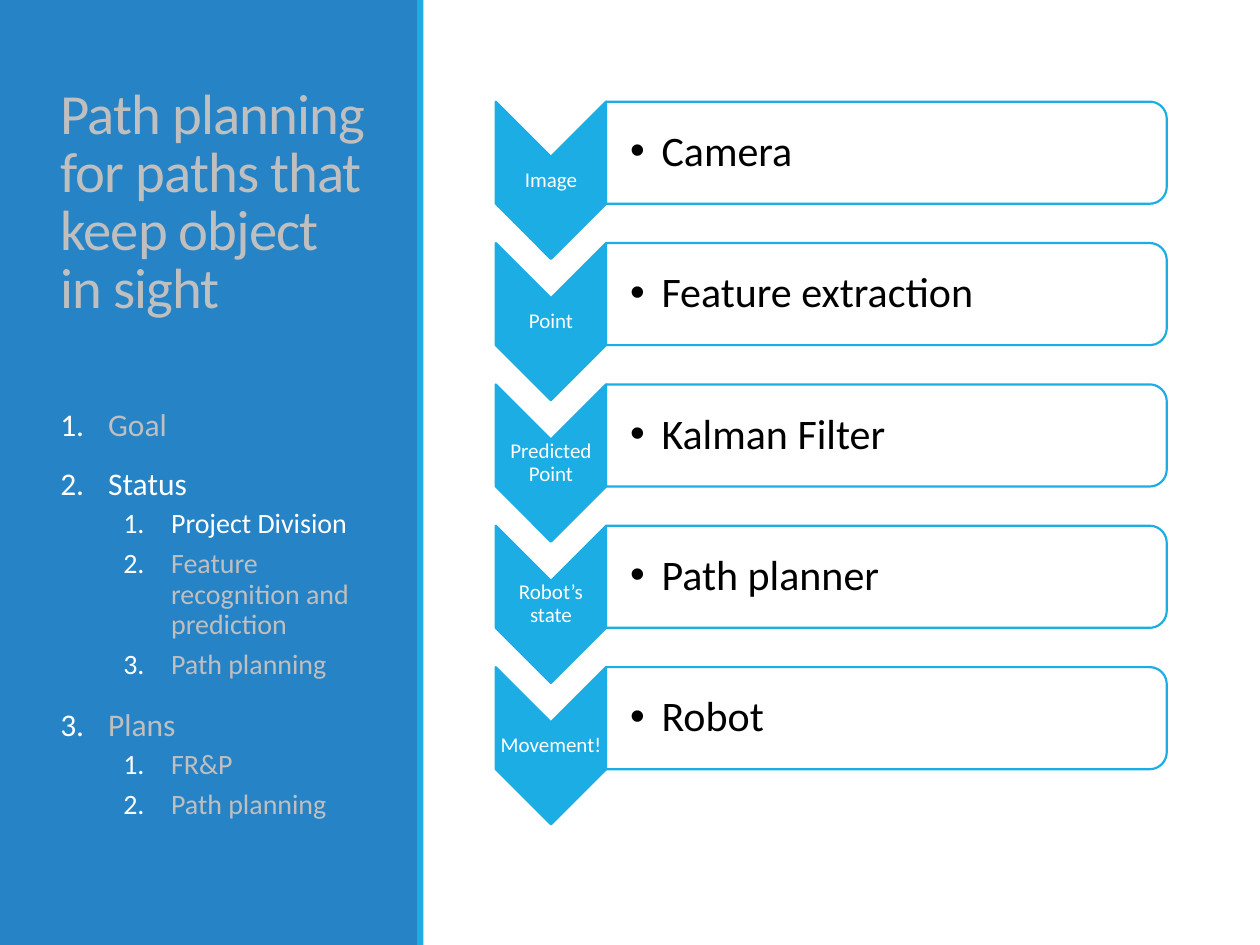
import math

from lxml import etree
from pptx import Presentation
from pptx import util as u
from pptx.dml.color import RGBColor
from pptx.enum import shapes, text
from pptx.oxml.ns import qn

BLUE = RGBColor(0x26, 0x83, 0xC6)
CYAN = RGBColor(0x1C, 0xAD, 0xE4)
WHITE = RGBColor(0xFF, 0xFF, 0xFF)
GREY = RGBColor(0xBF, 0xBF, 0xBF)
BLACK = RGBColor(0, 0, 0)
FONT = "Calibri"
COLUMNS, ROWS = 100, 75

TITLE = "Path planning for paths that keep object in sight"
AGENDA = [
    (0, "Goal", GREY),
    (0, "Status", WHITE),
    (1, "Project Division", WHITE),
    (1, "Feature recognition and prediction", GREY),
    (1, "Path planning", GREY),
    (0, "Plans", GREY),
    (1, "FR&P", GREY),
    (1, "Path planning", GREY),
]
STEPS = [
    ("Image", "Camera"),
    ("Point", "Feature extraction"),
    ("Predicted Point", "Kalman Filter"),
    ("Robot’s state", "Path planner"),
    ("Movement!", "Robot"),
]
FIRST_ROW, PITCH = 8.07, 11.22
CHEVRON_LEFT, CHEVRON_WIDTH = 39.35, 8.75
BAR_WIDTH, BAR_HEIGHT, BAR_RADIUS = 44.5, 8.1, 1.35


class SlideWriter:
    def __init__(self, deck):
        self.slide = deck.slides.add_slide(deck.slide_layouts[5])
        self.column = deck.slide_width / COLUMNS
        self.row = deck.slide_height / ROWS

    def place(self, x, y):
        return round(x * self.column), round(y * self.row)

    def run(self, paragraph, words, size, color):
        run = paragraph.add_run()
        run.text = words
        run.font.size = u.Pt(size)
        run.font.name = FONT
        run.font.color.rgb = color
        return run

    def frame(self, holder, anchor, insets=(0.1, 0.05, 0.1, 0.05)):
        frame = holder.text_frame
        frame.word_wrap = True
        frame.auto_size = text.MSO_AUTO_SIZE.NONE
        frame.vertical_anchor = anchor
        (frame.margin_left, frame.margin_top,
         frame.margin_right, frame.margin_bottom) = map(u.Inches, insets)
        return frame

    def marker(self, paragraph, indent, tag, color=None, **attributes):
        properties = paragraph._p.get_or_add_pPr()
        properties.set("marL", str(u.Inches(indent)))
        properties.set("indent", str(-u.Inches(0.25 if tag == "buChar" else 0.38)))
        if color is not None:
            tint = etree.SubElement(properties, qn("a:buClr"))
            etree.SubElement(tint, qn("a:srgbClr"), val=str(color))
        etree.SubElement(properties, qn("a:buFont"), typeface="Arial" if tag == "buChar" else FONT)
        etree.SubElement(properties, qn("a:" + tag), **attributes)

    def band(self, x, width, color):
        left, top = self.place(x, 0)
        band = self.slide.shapes.add_shape(
            shapes.MSO_SHAPE.RECTANGLE, left, top, *self.place(width, ROWS))
        band.shadow.inherit = False
        band.fill.solid()
        band.fill.fore_color.rgb = color
        band.line.fill.background()

    def title(self, words, x, y, width, height):
        title = self.slide.shapes.title
        title.left, title.top = self.place(x, y)
        title.width, title.height = self.place(width, height)
        title._element.getparent().append(title._element)
        paragraph = self.frame(title, text.MSO_ANCHOR.TOP).paragraphs[0]
        paragraph.alignment = text.PP_ALIGN.LEFT
        paragraph.line_spacing = 0.85
        run = self.run(paragraph, words, 32.4, GREY)
        run.font._element.set("spc", "-50")

    def agenda(self, entries, x, y, width, height):
        box = self.slide.shapes.add_textbox(*self.place(x, y), *self.place(width, height))
        frame = self.frame(box, text.MSO_ANCHOR.TOP)
        for index, (level, words, color) in enumerate(entries):
            paragraph = frame.add_paragraph() if index else frame.paragraphs[0]
            paragraph.level = level
            paragraph.line_spacing = 0.9
            paragraph.space_before = u.Pt((2 if level else 12) if index else 0)
            paragraph.space_after = u.Pt(4 if level else 2)
            self.marker(paragraph, 0.88 if level else 0.38, "buAutoNum", WHITE,
                        type="arabicPeriod")
            self.run(paragraph, words, 16 if level else 18, color)

    def outline(self, points, fill):
        start, *rest = [self.place(x, y) for x, y in points]
        builder = self.slide.shapes.build_freeform(*start)
        builder.add_line_segments(rest, close=True)
        shape = builder.convert_to_shape()
        shape.shadow.inherit = False
        shape.fill.solid()
        shape.fill.fore_color.rgb = fill
        shape.line.color.rgb = CYAN
        shape.line.width = u.Pt(1.25)
        return shape

    def chevron(self, words, x, y):
        right, middle, tip = x + CHEVRON_WIDTH, x + CHEVRON_WIDTH / 2, CHEVRON_WIDTH / 2
        shape = self.outline([
            (right, y), (right, y + BAR_HEIGHT), (middle, y + BAR_HEIGHT + tip),
            (x, y + BAR_HEIGHT), (x, y), (middle, y + tip)], CYAN)
        frame = self.frame(shape, text.MSO_ANCHOR.MIDDLE, (0.01, 0.45, 0.01, 0.45))
        paragraph = frame.paragraphs[0]
        paragraph.alignment = text.PP_ALIGN.CENTER
        paragraph.line_spacing = 0.9
        self.run(paragraph, words, 12, WHITE)

    def bar(self, words, x, y):
        center = x + BAR_WIDTH - BAR_RADIUS
        bottom = y + BAR_HEIGHT
        corners = []
        for middle, first in ((y + BAR_RADIUS, -90), (bottom - BAR_RADIUS, 0)):
            for step in range(11):
                angle = math.radians(first + 9 * step)
                corners.append((center + BAR_RADIUS * math.cos(angle),
                                middle + BAR_RADIUS * math.sin(angle)))
        shape = self.outline([(x, y), *corners, (x, bottom)], WHITE)
        tint = shape._element.spPr.find(qn("a:solidFill"))[0]
        etree.SubElement(tint, qn("a:alpha"), val="90000")
        frame = self.frame(shape, text.MSO_ANCHOR.MIDDLE, (0.19, 0.06, 0.06, 0.06))
        paragraph = frame.paragraphs[0]
        paragraph.alignment = text.PP_ALIGN.LEFT
        paragraph.level = 1
        paragraph.line_spacing = 0.9
        self.marker(paragraph, 0.25, "buChar", char="•")
        self.run(paragraph, words, 24, BLACK)


def main():
    deck = Presentation()
    deck.slide_width, deck.slide_height = u.Inches(10), u.Inches(7.5)
    writer = SlideWriter(deck)
    writer.band(0, 33.2, BLUE)
    writer.band(33.1, 0.5, CYAN)
    writer.title(TITLE, 3.8, 6.5, 26.2, 25)
    writer.agenda(AGENDA, 3.8, 32, 26.2, 37)
    for index, (output, stage) in enumerate(STEPS):
        y = FIRST_ROW + index * PITCH
        writer.chevron(output, CHEVRON_LEFT, y)
        writer.bar(stage, CHEVRON_LEFT + CHEVRON_WIDTH, y)
    deck.save("out.pptx")


if __name__ == "__main__":
    main()
